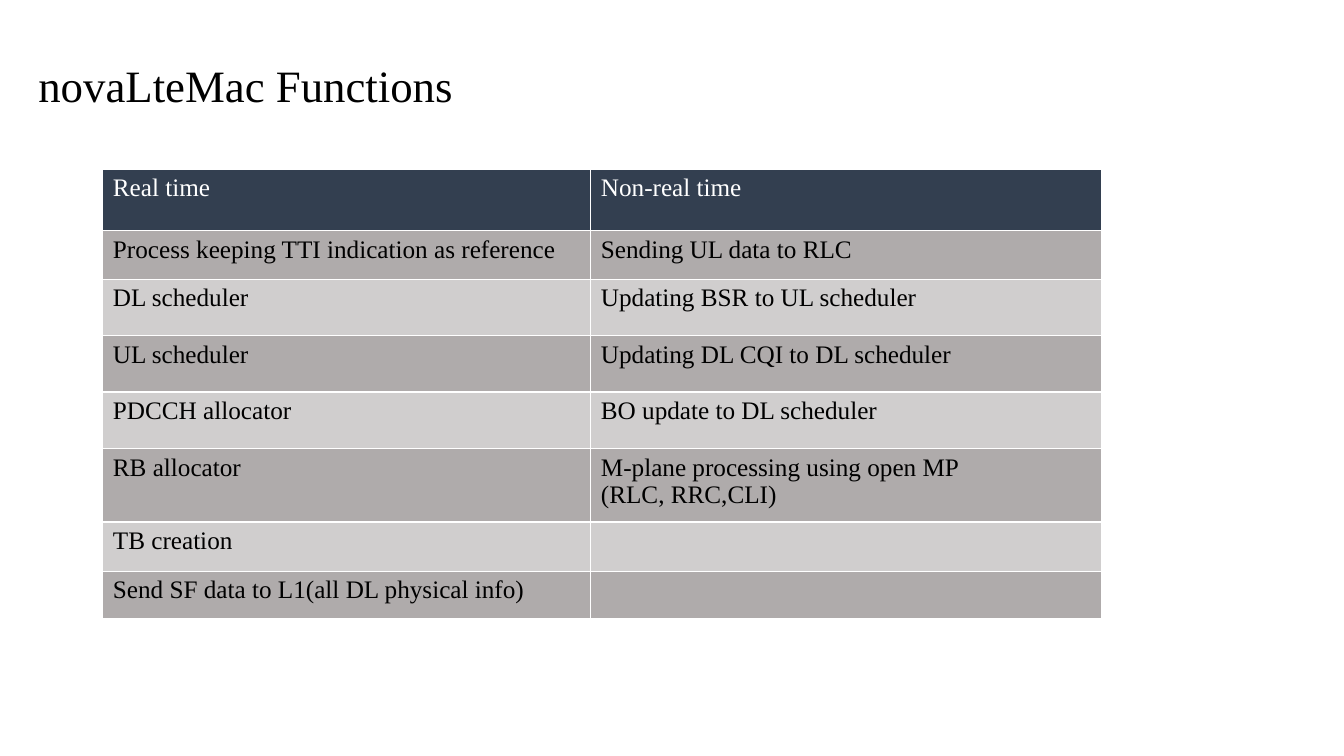
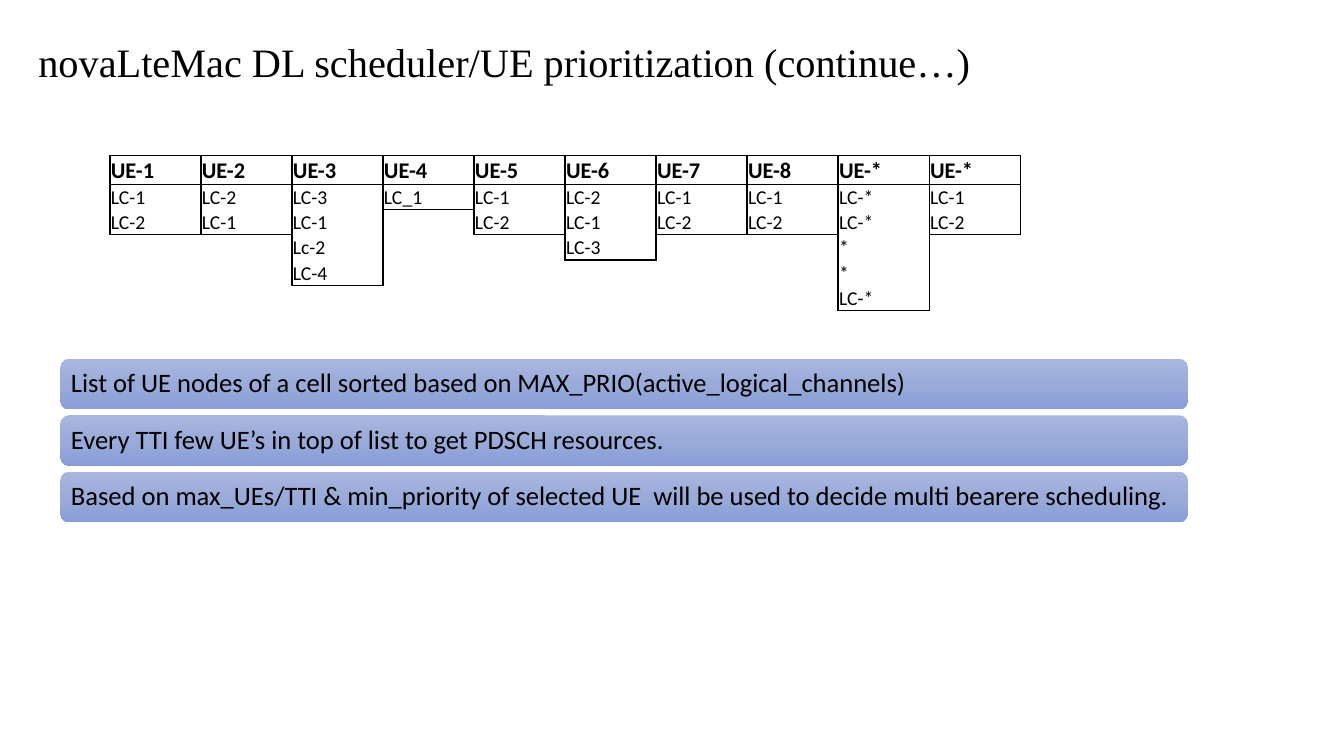
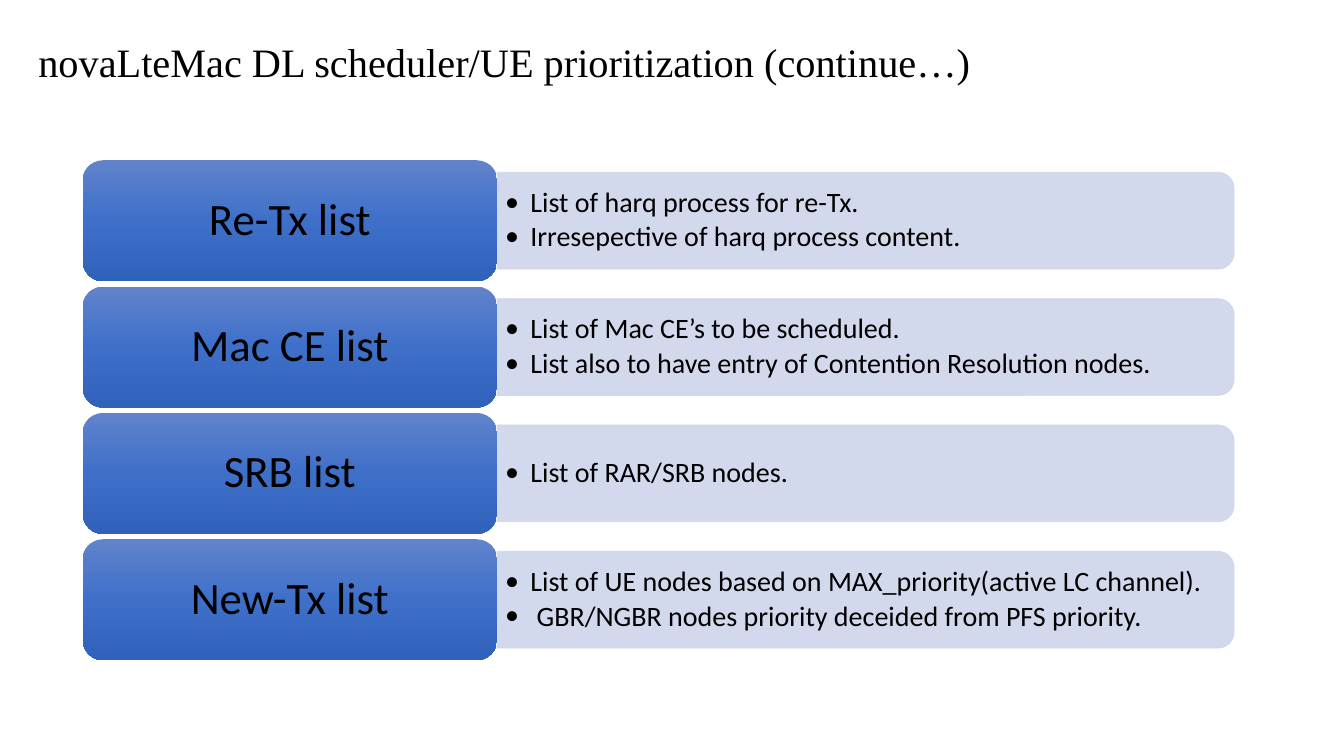
from copy import deepcopy
from typing import NamedTuple

from lxml import etree
from pptx import Presentation
from pptx.dml.color import RGBColor
from pptx.enum.shapes import MSO_SHAPE
from pptx.enum.text import MSO_ANCHOR, MSO_AUTO_SIZE, PP_ALIGN
from pptx.oxml.ns import qn
from pptx.util import Inches, Pt

LEFT, CENTER = PP_ALIGN.LEFT, PP_ALIGN.CENTER
MIDDLE, BOTTOM = MSO_ANCHOR.MIDDLE, MSO_ANCHOR.BOTTOM
NO_AUTOFIT = MSO_AUTO_SIZE.NONE
ROUNDED, ROUNDED_TOP = MSO_SHAPE.ROUNDED_RECTANGLE, MSO_SHAPE.ROUND_2_SAME_RECTANGLE

TITLE_FONT, BODY_FONT = "Times New Roman", "Calibri"
BLACK, WHITE = "000000", "FFFFFF"
HEADER_FILL, ROW_FILLS = "333F50", ("AFABAB", "D0CECE")
PALE_BLUE = "CFD5EA"
BAR_GRADIENT = ("A8B7DF", "9AABD9", "889ED7")
LABEL_GRADIENT = ("6183CB", "3E70CA", "3062BB")

PRODUCT = "novaLteMac"
FUNCTIONS = [
    ("Real time", "Non-real time"),
    ("Process keeping TTI indication as reference", "Sending UL data to RLC"),
    ("DL scheduler", "Updating BSR to UL scheduler"),
    ("UL scheduler", "Updating DL CQI to DL scheduler"),
    ("PDCCH allocator", "BO update to DL scheduler"),
    ("RB allocator", "M-plane processing using open MP\n(RLC, RRC,CLI)"),
    ("TB creation", ""),
    ("Send SF data to L1(all DL physical info)", ""),
]
FUNCTION_COLUMNS = (4.84, 5.07)
FUNCTION_ROWS = (0.61, 0.48, 0.56, 0.56, 0.56, 0.73, 0.49, 0.47)

UE_CHANNELS = [
    ("UE-1", "LC-1", "LC-2"),
    ("UE-2", "LC-2", "LC-1"),
    ("UE-3", "LC-3", "LC-1", "Lc-2", "LC-4"),
    ("UE-4", "LC_1"),
    ("UE-5", "LC-1", "LC-2"),
    ("UE-6", "LC-2", "LC-1", "LC-3"),
    ("UE-7", "LC-1", "LC-2"),
    ("UE-8", "LC-1", "LC-2"),
    ("UE-*", "LC-*", "LC-*", "*", "*", "LC-*"),
    ("UE-*", "LC-1", "LC-2"),
]
UE_RULES = [
    "List of UE nodes of a cell sorted based on MAX_PRIO(active_logical_channels)",
    "Every TTI few UE’s in top of list to get PDSCH resources.",
    "Based on max_UEs/TTI & min_priority of selected UE  will be used to decide multi bearere scheduling.",
]
PRIORITY_LISTS = [
    ("Re-Tx list", ["List of harq process for re-Tx.", "Irresepective of harq process content."]),
    ("Mac CE list", ["List of Mac CE’s to be scheduled.",
                     "List also to have entry of Contention Resolution nodes."]),
    ("SRB list", ["List of RAR/SRB nodes."]),
    ("New-Tx list", ["List of UE nodes based on MAX_priority(active LC channel).",
                     " GBR/NGBR nodes priority deceided from PFS priority."]),
]


class Box(NamedTuple):
    left: float
    top: float
    width: float
    height: float

    def lengths(self):
        return [Inches(value) for value in self]


def color(hex_string):
    return RGBColor.from_string(hex_string)


def write_lines(frame, lines, size, font=BODY_FONT, fill=BLACK, bold=False,
                align=LEFT, spacing=None, after=0):
    for index, line in enumerate(lines):
        paragraph = frame.add_paragraph() if index else frame.paragraphs[0]
        paragraph.alignment = align
        paragraph.line_spacing = spacing
        paragraph.space_after = Pt(after)
        run = paragraph.add_run()
        run.text = line
        run.font.size = Pt(size)
        run.font.name = font
        run.font.bold = bold
        run.font.color.rgb = color(fill)


def set_frame(frame, horizontal, vertical):
    frame.word_wrap = True
    frame.vertical_anchor = MIDDLE
    frame.margin_left = frame.margin_right = Inches(horizontal)
    frame.margin_top = frame.margin_bottom = Inches(vertical)


def add_titled_slide(presentation, title, box, size):
    slide = presentation.slides.add_slide(presentation.slide_layouts[5])
    shape = slide.shapes.title
    shape.left, shape.top, shape.width, shape.height = box.lengths()
    set_frame(shape.text_frame, 0.1, 0.05)
    shape.text_frame.auto_size = NO_AUTOFIT
    write_lines(shape.text_frame, [title], size, TITLE_FONT, spacing=0.9)
    return slide


def add_gradient_box(slide, box, stops, text, size, margins, align=LEFT):
    shape = slide.shapes.add_shape(ROUNDED, *box.lengths())
    shape.shadow.inherit = False
    shape.line.fill.background()
    shape.fill.gradient()
    shape.fill.gradient_angle = 270
    stop_list = shape._element.spPr.find(".//" + qn("a:gsLst"))
    stop_list.insert(1, deepcopy(stop_list[0]))
    for index, stop in enumerate(shape.fill.gradient_stops):
        stop.color.rgb = color(stops[index])
        stop.position = index / 2
    set_frame(shape.text_frame, *margins)
    write_lines(shape.text_frame, [text], size, align=align, spacing=0.9)


def add_sized_table(slide, box, column_widths, row_heights):
    table = slide.shapes.add_table(len(row_heights), len(column_widths), *box.lengths()).table
    for column, width in zip(table.columns, column_widths):
        column.width = Inches(width)
    for row, height in zip(table.rows, row_heights):
        row.height = Inches(height)
    return table


def add_function_table(slide, box):
    table = add_sized_table(slide, box, FUNCTION_COLUMNS, FUNCTION_ROWS)
    for row, texts in enumerate(FUNCTIONS):
        for column, text in enumerate(texts):
            cell = table.cell(row, column)
            cell.fill.solid()
            cell.fill.fore_color.rgb = color(ROW_FILLS[(row - 1) % 2] if row else HEADER_FILL)
            if text:
                write_lines(cell.text_frame, text.split("\n"), 18, TITLE_FONT,
                            BLACK if row else WHITE)


def set_borders(cell, visible_sides):
    properties = cell._tc.get_or_add_tcPr()
    for index, side in enumerate("LRTB"):
        line = etree.Element(qn("a:ln" + side), w=str(Pt(1)))
        if side in visible_sides:
            fill = etree.SubElement(line, qn("a:solidFill"))
            etree.SubElement(fill, qn("a:srgbClr"), val=BLACK)
        else:
            etree.SubElement(line, qn("a:noFill"))
        properties.insert(index, line)


def add_channel_table(slide, box):
    column_count = len(UE_CHANNELS)
    depths = [0] + [len(entries) for entries in UE_CHANNELS] + [0]
    row_count = max(depths)
    heights = [0.29] + [0.25] * (row_count - 1)
    table = add_sized_table(slide, box, [box.width / column_count] * column_count, heights)
    for column, entries in enumerate(UE_CHANNELS):
        before, depth, after = depths[column:column + 3]
        edges = (0, 1, depth)
        for row in range(row_count):
            cell = table.cell(row, column)
            cell.fill.background()
            cell.vertical_anchor = BOTTOM
            cell.margin_left = cell.margin_right = cell.margin_top = Inches(0.01)
            cell.margin_bottom = 0
            drawn = {"L": row < max(before, depth), "R": row < max(depth, after),
                     "T": row in edges, "B": row + 1 in edges}
            set_borders(cell, [side for side in drawn if drawn[side]])
            if row < depth:
                write_lines(cell.text_frame, [entries[row]], 14 if row else 16, bold=row == 0)
            else:
                ending = cell.text_frame.paragraphs[0]._p.get_or_add_endParaRPr()
                ending.set("sz", "1400")


def add_rule_bars(slide, box):
    pitch = 0.56
    for index, text in enumerate(UE_RULES):
        bar = Box(box.left, box.top + index * pitch, box.width, 0.5)
        add_gradient_box(slide, bar, BAR_GRADIENT, text, 19, (0.08, 0.08))


def add_detail_panel(slide, box, lines):
    turned = Box(box.left + (box.width - box.height) / 2,
                 box.top + (box.height - box.width) / 2, box.height, box.width)
    panel = slide.shapes.add_shape(ROUNDED_TOP, *turned.lengths())
    panel.rotation = 90
    panel.shadow.inherit = False
    panel.fill.solid()
    panel.fill.fore_color.rgb = color(PALE_BLUE)
    panel.line.color.rgb = color(PALE_BLUE)
    panel.line.width = Pt(0.5)
    for tint in panel._element.spPr.iter(qn("a:srgbClr")):
        etree.SubElement(tint, qn("a:alpha"), val="90000")

    frame = slide.shapes.add_textbox(*box.lengths()).text_frame
    set_frame(frame, 0.08, 0.04)
    write_lines(frame, lines, 20, spacing=0.9, after=3)
    for paragraph in frame.paragraphs:
        properties = paragraph._p.get_or_add_pPr()
        properties.set("marL", str(Inches(0.25)))
        properties.set("indent", str(-Inches(0.25)))
        etree.SubElement(properties, qn("a:buFont"), typeface=BODY_FONT)
        etree.SubElement(properties, qn("a:buChar"), char="•")


def add_priority_lists(slide, box):
    label_width, label_height, panel_height = 4.11, 1.2, 0.96
    pitch = (box.height - label_height) / (len(PRIORITY_LISTS) - 1)
    for index, (name, lines) in enumerate(PRIORITY_LISTS):
        top = box.top + index * pitch
        panel = Box(box.left + label_width, top + (label_height - panel_height) / 2,
                    box.width - label_width, panel_height)
        add_detail_panel(slide, panel, lines)
        label = Box(box.left, top, label_width, label_height)
        add_gradient_box(slide, label, LABEL_GRADIENT, name, 32, (0.13, 0.07), CENTER)


def build():
    presentation = Presentation()
    presentation.slide_width, presentation.slide_height = Inches(13.33), Inches(7.5)
    scheduler_title = PRODUCT + " DL scheduler/UE prioritization (continue…)"
    scheduler_title_box = Box(0.28, 0.29, 10.24, 0.69)

    slide = add_titled_slide(presentation, PRODUCT + " Functions", Box(0.28, 0.29, 7.61, 1.17), 32)
    add_function_table(slide, Box(1.02, 1.68, 9.91, 4.46))

    slide = add_titled_slide(presentation, scheduler_title, scheduler_title_box, 28.8)
    add_rule_bars(slide, Box(0.6, 3.56, 11.18, 1.62))
    add_channel_table(slide, Box(1.09, 1.54, 9.03, 1.54))

    slide = add_titled_slide(presentation, scheduler_title, scheduler_title_box, 28.8)
    add_priority_lists(slide, Box(0.82, 1.59, 11.42, 4.96))

    presentation.save("out.pptx")


build()
